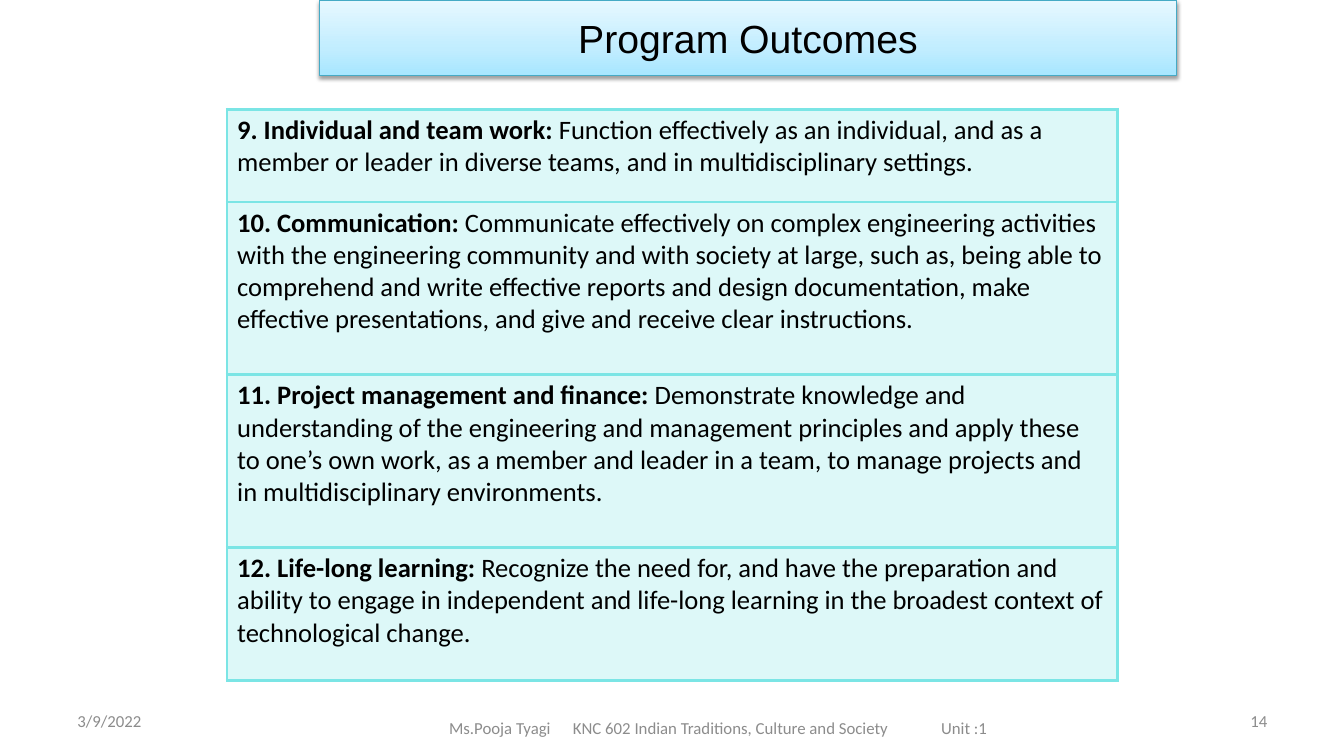
from dataclasses import dataclass
from lxml import etree
from pptx import Presentation, util as u
from pptx.dml import color
from pptx.enum import text as t
from pptx.oxml import ns

Pt = u.Pt
BLACK, GREY, TEAL = "000000", "8C8C8C", "7BE5E5"


@dataclass
class Note:
    left: float
    top: float
    width: float
    words: str
    align: t.PP_ALIGN = t.PP_ALIGN.LEFT
    inset: float = 7.2
    tabs: tuple[float, ...] = ()


@dataclass
class Goal:
    head: str
    body: str
    height: float


NOTES = [
    Note(48.24, 500.4, 224, "3/9/2022"),
    Note(293.76, 505.44, 437.76,
         "Ms.Pooja Tyagi\tKNC 602 Indian Traditions, Culture and Society\tUnit :1",
         inset=27, tabs=(88.5, 351.5)),
    Note(688.32, 500.4, 224, "14", t.PP_ALIGN.RIGHT),
]

GOALS = [
    Goal("9. Individual and team work: ",
         "Function effectively as an individual, and as a member or leader in "
         "diverse teams, and in multidisciplinary settings.", 66.24),
    Goal("10. Communication: ",
         "Communicate effectively on complex engineering activities with the "
         "engineering community and with society at large, such as, being able to "
         "comprehend and write effective reports and design documentation, make "
         "effective presentations, and give and receive clear instructions.", 123.4),
    Goal("11. Project management and finance: ",
         "Demonstrate knowledge and understanding of the engineering and "
         "management principles and apply these to one\u2019s own work, as a member "
         "and leader in a team, to manage projects and in multidisciplinary "
         "environments.", 123.4),
    Goal("12. Life-long learning: ",
         "Recognize the need for, and have the preparation and ability to engage "
         "in independent and life-long learning in the broadest context of "
         "technological change.", 95.04),
]


def rgb(code: str) -> color.RGBColor:
    return color.RGBColor.from_string(code)


def node(root, tag: str, **attrs):
    return etree.SubElement(root, ns.qn(tag), {k: str(v) for k, v in attrs.items()})


def style(run, size: float, code: str, face: str = "Calibri", bold: bool = False) -> None:
    font = run.font
    font.size, font.name, font.bold = Pt(size), face, bold
    font.color.rgb = rgb(code)


def draw_title(shape) -> None:
    shape.left, shape.top, shape.width, shape.height = map(Pt, (228.24, 0, 612, 54))
    shape.line.color.rgb = rgb("46AAC5")
    shape.line.width = Pt(0.75)
    shape.fill.gradient()
    shape.fill.gradient_angle = 90
    props = shape.element.spPr
    stops = props.find(".//" + ns.qn("a:gsLst"))
    for stop in list(stops):
        stops.remove(stop)
    for spot, code in ((0, "A7E6FF"), (35, "C1EDFF"), (100, "E7F8FF")):
        node(node(stops, "a:gs", pos=spot * 1000), "a:srgbClr", val=code)
    shade = node(node(props, "a:effectLst"), "a:outerShdw", blurRad=Pt(3.1),
                 dist=Pt(1.6), dir=5400000, rotWithShape=0)
    node(node(shade, "a:srgbClr", val=BLACK), "a:alpha", val=38000)
    frame = shape.text_frame
    frame.text = "Program Outcomes"
    frame.auto_size = t.MSO_AUTO_SIZE.NONE
    frame.vertical_anchor = t.MSO_ANCHOR.MIDDLE
    para = frame.paragraphs[0]
    para.alignment = t.PP_ALIGN.CENTER
    style(para.runs[0], 28, BLACK, "Arial")


def draw_note(slide, note: Note) -> None:
    box = slide.shapes.add_textbox(Pt(note.left), Pt(note.top), Pt(note.width), Pt(28.8))
    frame = box.text_frame
    frame.word_wrap = True
    frame.vertical_anchor = t.MSO_ANCHOR.MIDDLE
    frame.margin_left = Pt(note.inset)
    frame.text = note.words
    para = frame.paragraphs[0]
    para.alignment = note.align
    for run in para.runs:
        style(run, 12, GREY)
    if note.tabs:
        stops = node(para._p.get_or_add_pPr(), "a:tabLst")
        for spot in note.tabs:
            node(stops, "a:tab", pos=Pt(spot), algn="l")


def draw_cell(cell, goal: Goal) -> None:
    para = cell.text_frame.paragraphs[0]
    for words, bold in ((goal.head, True), (goal.body, False)):
        run = para.add_run()
        run.text = words
        style(run, 19, BLACK, bold=bold)
    cell.fill.solid()
    cell.fill.fore_color.rgb = rgb(TEAL)
    props = cell._tc.get_or_add_tcPr()
    node(props.find(".//" + ns.qn("a:srgbClr")), "a:alpha", val=25000)
    for spot, side in enumerate("LRTB"):
        edge = node(props, "a:ln" + side, w=Pt(2.25))
        node(node(edge, "a:solidFill"), "a:srgbClr", val=TEAL)
        props.insert(spot, edge)


def draw_table(slide, goals: list[Goal]) -> None:
    total = sum(goal.height for goal in goals)
    table = slide.shapes.add_table(len(goals), 1, Pt(162.24), Pt(78), Pt(636), Pt(total)).table
    table.first_row = table.horz_banding = False
    for row, goal in zip(table.rows, goals):
        row.height = Pt(goal.height)
        draw_cell(row.cells[0], goal)


deck = Presentation()
deck.slide_width, deck.slide_height = Pt(960), Pt(540)
slide = deck.slides.add_slide(deck.slide_layouts[5])
draw_title(slide.shapes.title)
for note in NOTES:
    draw_note(slide, note)
draw_table(slide, GOALS)
deck.save("out.pptx")
